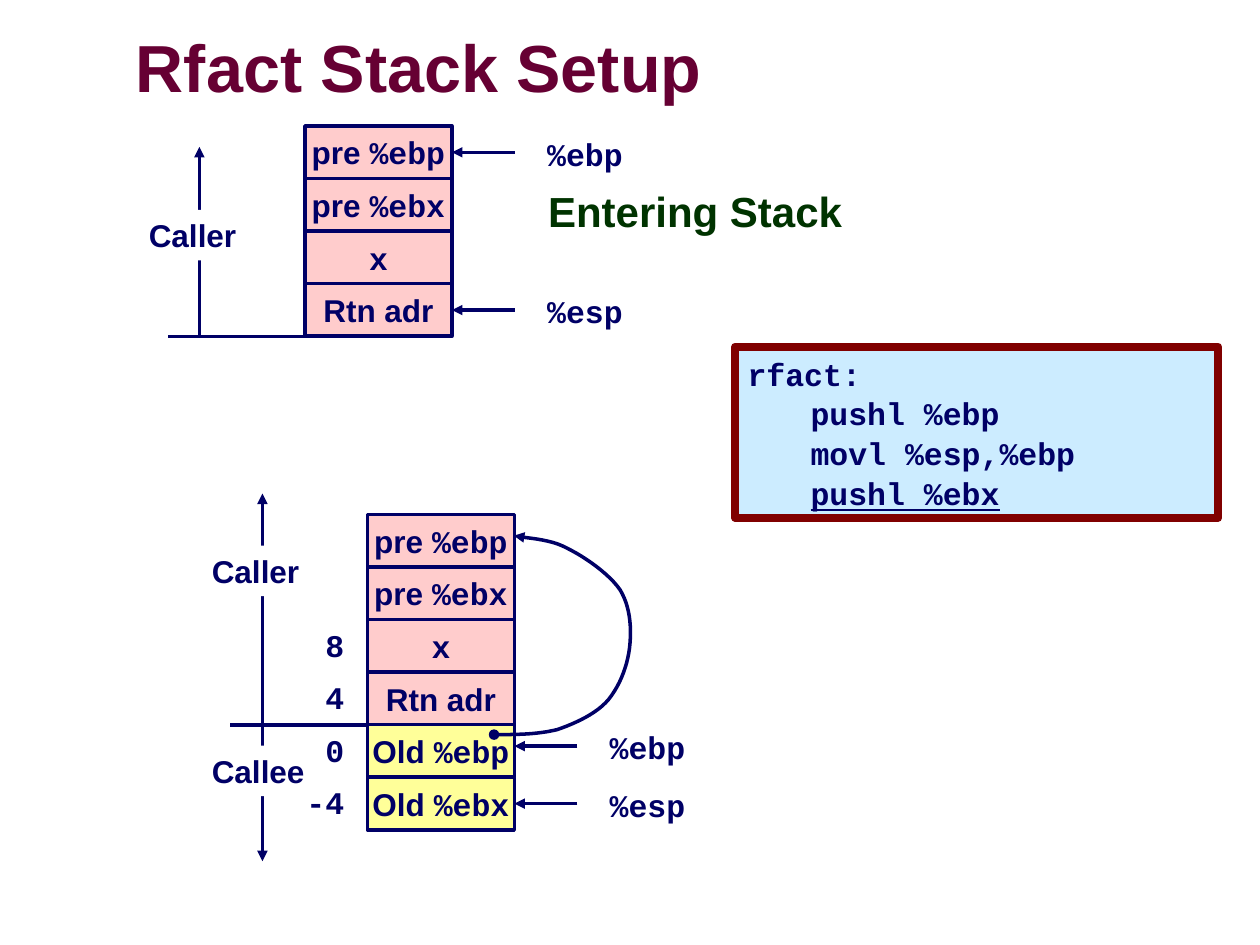
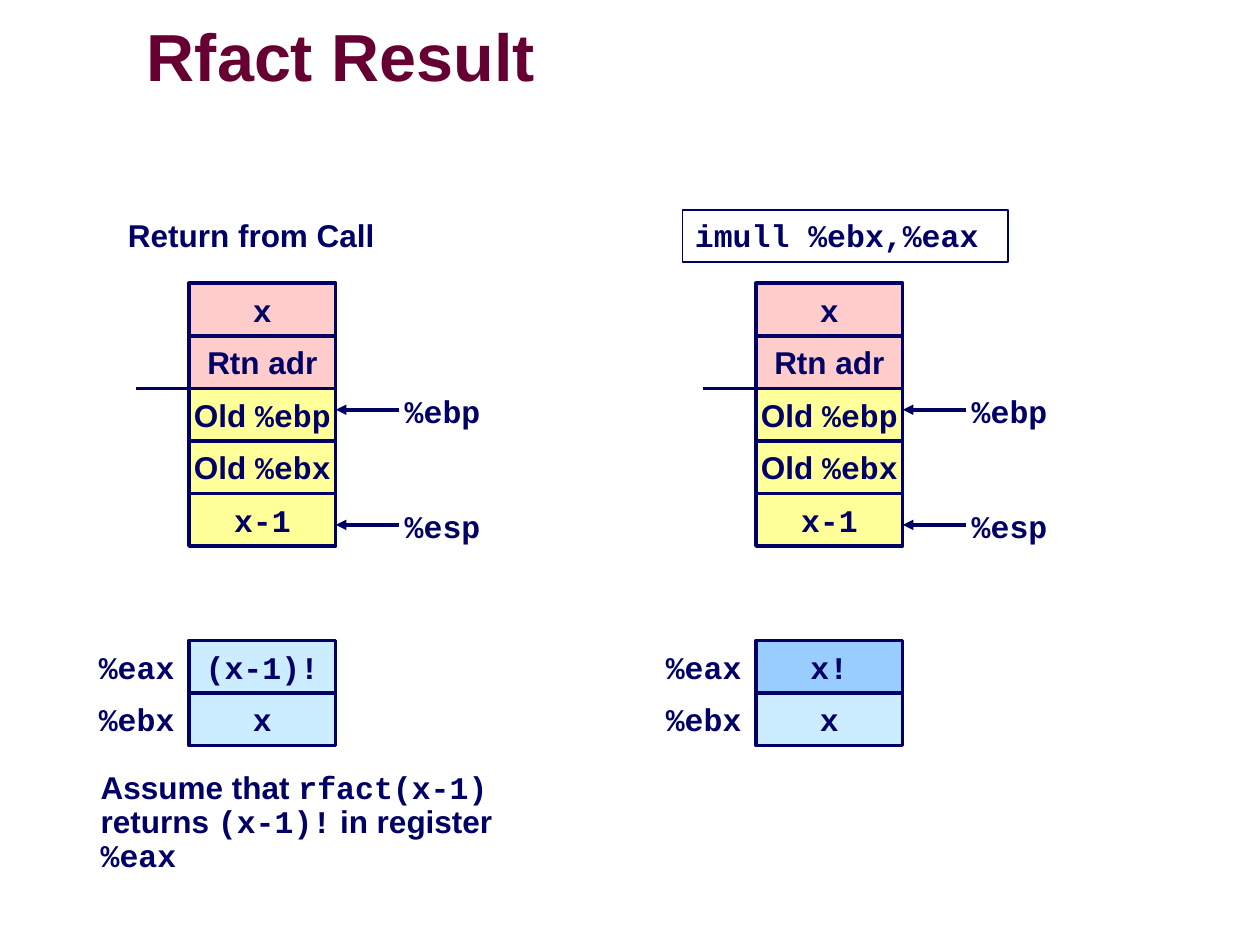
from dataclasses import dataclass

from lxml import etree
from pptx import Presentation
from pptx import util as u
from pptx.dml.color import RGBColor
from pptx.enum import shapes, text
from pptx.oxml.ns import qn

Cm, Pt = u.Cm, u.Pt


@dataclass(frozen=True)
class Theme:
    ink: str = "000066"
    title: str = "660033"
    heading: str = "003300"
    caller: str = "FFCCCC"
    callee: str = "FFFF99"
    register: str = "CCECFF"
    changed: str = "99CCFF"
    frame: str = "800000"
    white: str = "FFFFFF"
    sans: str = "Arial"
    mono: str = "Courier New"
    title_size: int = 38
    heading_size: int = 24
    body_size: int = 18
    rule: float = 2


T = Theme()
CELL_W, CELL_H = 2.96, 1.06
LABEL_H = 1.02
ARROW = 1.27

# Content: backticks enclose monospaced text, lengths are in cm
CALLER_FRAME = ["pre `%ebp`", "pre `%ebx`", "`x`", "Rtn adr"]
CALLEE_FRAME = ["Old `%ebp`", "Old `%ebx`"]

# Pointers are (row, register, shift from the middle of the cell)
SETUP_STACKS = [
    dict(x=6.15, y=2.54, caller=CALLER_FRAME, callee=[],
         pointers=[(0, "%ebp", 0), (3, "%esp", 0)]),
    dict(x=7.41, y=10.37, caller=CALLER_FRAME, callee=CALLEE_FRAME,
         pointers=[(4, "%ebp", -0.1), (5, "%esp", 0)]),
]
# Extents are (x, from y, to y at the arrowhead, label, label y, label width)
EXTENTS = [
    (4.02, 6.77, 2.96, "Caller", 4.23, 2.29),
    (5.29, 13.76, 9.95, "Caller", 11.0, 2.29),
    (5.29, 13.55, 17.36, "Callee", 15.03, 2.39),
]
OFFSETS = [(2, "8"), (3, "4"), (4, "0"), (5, "-4")]
SAVED_EBP_START = (9.96, 14.81)
SAVED_EBP_CURVE = [
    ((10.39, 14.81), (10.82, 14.81), (11.23, 14.71)),
    ((11.61, 14.58), (12.04, 14.38), (12.27, 14.10)),
    ((12.52, 13.79), (12.67, 13.36), (12.70, 12.98)),
    ((12.73, 12.62), (12.70, 12.22), (12.50, 11.89)),
    ((12.27, 11.56), (11.79, 11.23), (11.43, 11.05)),
    ((11.07, 10.85), (10.54, 10.85), (10.36, 10.80)),
]
RFACT_CODE = ["`rfact:`", "`\tpushl %ebp`", "`\tmovl %esp,%ebp`",
              "`\t``pushl %ebx`"]

RESULT_STACK = dict(y=5.71, caller=["`x`", "Rtn adr"],
                    callee=CALLEE_FRAME + ["`x-1`"],
                    pointers=[(2, "%ebp", -0.1), (4, "%esp", 0.1)])
RESULTS = [
    dict(x=3.81, eax="`(x-1)!`", eax_fill=T.register),
    dict(x=15.24, eax="`x!`", eax_fill=T.changed),
]
REGISTERS_Y = 12.91


# Helpers
def rgb(value):
    return RGBColor.from_string(value)


def write(tf, lines, size=T.body_size, color=T.ink, align=None, spacing=None,
          tab=None, underlined=None):
    """Fill a text frame, one paragraph a line."""
    for i, line in enumerate(lines):
        p = tf.paragraphs[0] if i == 0 else tf.add_paragraph()
        p.alignment = align
        p.line_spacing = spacing
        if tab:
            tabs = etree.SubElement(p._p.get_or_add_pPr(), qn("a:tabLst"))
            etree.SubElement(tabs, qn("a:tab"), pos=str(Cm(tab)), algn="l")
        for k, piece in enumerate(line.split("`")):
            if not piece:
                continue
            r = p.add_run()
            r.text = piece
            r.font.size, r.font.bold = Pt(size), True
            r.font.name = T.mono if k % 2 else T.sans
            r.font.color.rgb = rgb(color)
            if piece == underlined:
                r.font.underline = True


def add_text(s, lines, x, y, w, h=LABEL_H, fill=None, line=None,
             weight=T.rule, wrap=False, middle=False, inset=None, **fmt):
    """Add a text box, or a rectangle when it has a fill or an outline."""
    box = [Cm(v) for v in (x, y, w, h)]
    if fill or line:
        sp = s.shapes.add_shape(shapes.MSO_SHAPE.RECTANGLE, *box)
        sp.shadow.inherit = False
        if fill:
            sp.fill.solid()
            sp.fill.fore_color.rgb = rgb(fill)
        else:
            sp.fill.background()
        if line:
            sp.line.color.rgb = rgb(line)
            sp.line.width = Pt(weight)
        else:
            sp.line.fill.background()
    else:
        sp = s.shapes.add_textbox(*box)
    tf = sp.text_frame
    tf.word_wrap = wrap
    tf.vertical_anchor = text.MSO_ANCHOR.MIDDLE if middle else text.MSO_ANCHOR.TOP
    if not middle:
        tf.auto_size = text.MSO_AUTO_SIZE.SHAPE_TO_FIT_TEXT
    if inset is not None:
        tf.margin_left = tf.margin_right = Cm(inset)
    fmt.setdefault("align", text.PP_ALIGN.CENTER if middle else text.PP_ALIGN.LEFT)
    write(tf, [lines] if isinstance(lines, str) else lines, **fmt)
    return sp


def style_line(sp, head=None, tail=None):
    sp.line.color.rgb = rgb(T.ink)
    sp.line.width = Pt(T.rule)
    ln = sp.line._get_or_add_ln()
    for tag, kind in (("a:headEnd", head), ("a:tailEnd", tail)):
        if kind:
            etree.SubElement(ln, qn(tag), type=kind)


def add_line(s, x1, y1, x2, y2, tail=None):
    c = s.shapes.add_connector(shapes.MSO_CONNECTOR.STRAIGHT,
                               Cm(x1), Cm(y1), Cm(x2), Cm(y2))
    style_line(c, tail=tail)
    etree.SubElement(c._element.spPr, qn("a:effectLst"))
    return c


def add_cell(s, label, x, y, fill):
    return add_text(s, label, x, y, CELL_W, CELL_H, fill=fill, line=T.ink,
                    middle=True)


def add_stack(s, x, y, caller, callee, pointers, rule, gap):
    """Draw the cells, the frame boundary and the register pointers."""
    rows = [(c, T.caller) for c in caller] + [(c, T.callee) for c in callee]
    cells = [add_cell(s, c, x, y + i * CELL_H, fill)
             for i, (c, fill) in enumerate(rows)]
    boundary = y + len(caller) * CELL_H
    add_line(s, x, boundary, x - rule, boundary)
    right = x + CELL_W
    for row, name, shift in pointers:
        mid = y + (row + 0.5) * CELL_H + shift
        c = add_line(s, right + ARROW, mid, right, mid, tail="triangle")
        if not shift:
            c.end_connect(cells[row], 3)
        add_text(s, f"`{name}`", right + gap, mid - 0.48, 2.03)


def add_curve(s, start, segments, steps=12):
    """Draw cubic curves as one open outline."""
    points, a = [], start
    for b, c, d in segments:
        for t in (n / steps for n in range(1, steps + 1)):
            weights = ((1 - t) ** 3, 3 * t * (1 - t) ** 2, 3 * t * t * (1 - t), t ** 3)
            points.append(tuple(Cm(sum(k * q[axis] for k, q in zip(weights, (a, b, c, d))))
                                for axis in (0, 1)))
        a = d
    outline = s.shapes.build_freeform(Cm(start[0]), Cm(start[1]))
    outline.add_line_segments(points, close=False)
    sp = outline.convert_to_shape()
    sp.shadow.inherit = False
    sp.fill.background()
    style_line(sp, head="oval", tail="triangle")


def add_slide(prs, title, x, y, w):
    s = prs.slides.add_slide(prs.slide_layouts[5])
    sp = s.shapes.title
    sp.left, sp.top, sp.width, sp.height = Cm(x), Cm(y), Cm(w), Cm(1.6)
    tf = sp.text_frame
    tf.margin_left = tf.margin_right = tf.margin_top = tf.margin_bottom = 0
    tf.vertical_anchor = text.MSO_ANCHOR.MIDDLE
    tf.auto_size = text.MSO_AUTO_SIZE.NONE
    write(tf, [title], size=T.title_size, color=T.title, spacing=0.87,
          align=text.PP_ALIGN.LEFT)
    # Text shadow
    effects = etree.Element(qn("a:effectLst"))
    shadow = etree.SubElement(effects, qn("a:outerShdw"), dist="35921",
                              dir="2700000", algn="ctr", rotWithShape="0")
    etree.SubElement(shadow, qn("a:srgbClr"), val="969696")
    tf.paragraphs[0].runs[0]._r.rPr.find(qn("a:solidFill")).addnext(effects)
    return s


# Slides
def build_setup(prs):
    s = add_slide(prs, "Rfact Stack Setup", 2.74, 0.64, 15.52)
    add_text(s, "Entering Stack", 10.8, 3.61, 6.43, 1.27,
             size=T.heading_size, color=T.heading)
    for stack in SETUP_STACKS:
        add_stack(s, **stack, rule=2.77, gap=1.67)
    for x, start, end, *_ in EXTENTS:
        add_line(s, x, start, x, end, tail="triangle")
    for x, _, _, label, y, w in EXTENTS:
        add_text(s, label, x - 1.27, y, w, fill=T.white)
    for row, offset in OFFSETS:
        add_text(s, f"`{offset}`", 5.54, SETUP_STACKS[1]["y"] + row * CELL_H,
                 1.65, wrap=True, align=text.PP_ALIGN.RIGHT)
    add_curve(s, SAVED_EBP_START, SAVED_EBP_CURVE)
    add_text(s, RFACT_CODE, 14.82, 6.99, 9.74, 3.45, fill=T.register,
             line=T.frame, weight=4.5, wrap=True, spacing=1.05, tab=1.27,
             underlined="pushl %ebx")


def build_result(prs):
    s = add_slide(prs, "Rfact Result", 2.96, 0.42, 14.33)
    add_text(s, "Return from Call", 2.33, 4.23, 5.93, wrap=True)
    add_text(s, "`imull %ebx,%eax`", 13.76, 4.23, 6.56, 1.05, line=T.ink,
             weight=1, wrap=True)
    for result in RESULTS:
        x = result["x"]
        add_stack(s, x=x, **RESULT_STACK, rule=1.06, gap=1.14)
        registers = [("%eax", result["eax"], result["eax_fill"]),
                     ("%ebx", "`x`", T.register)]
        for i, (name, value, fill) in enumerate(registers):
            y = REGISTERS_Y + i * CELL_H
            add_text(s, f"`{name}`", x - 1.9, y, 1.69, CELL_H,
                     fill=T.white, middle=True)
            add_cell(s, value, x, y, fill)
    add_text(s, "Assume that `rfact(x-1)` returns `(x-1)!` in register `%eax`",
             1.9, 15.45, 8.46, 2.31, wrap=True, inset=0.13, spacing=0.9)


def main():
    prs = Presentation()
    prs.slide_width, prs.slide_height = Cm(25.4), Cm(19.05)
    build_setup(prs)
    build_result(prs)
    prs.save("out.pptx")


if __name__ == "__main__":
    main()
